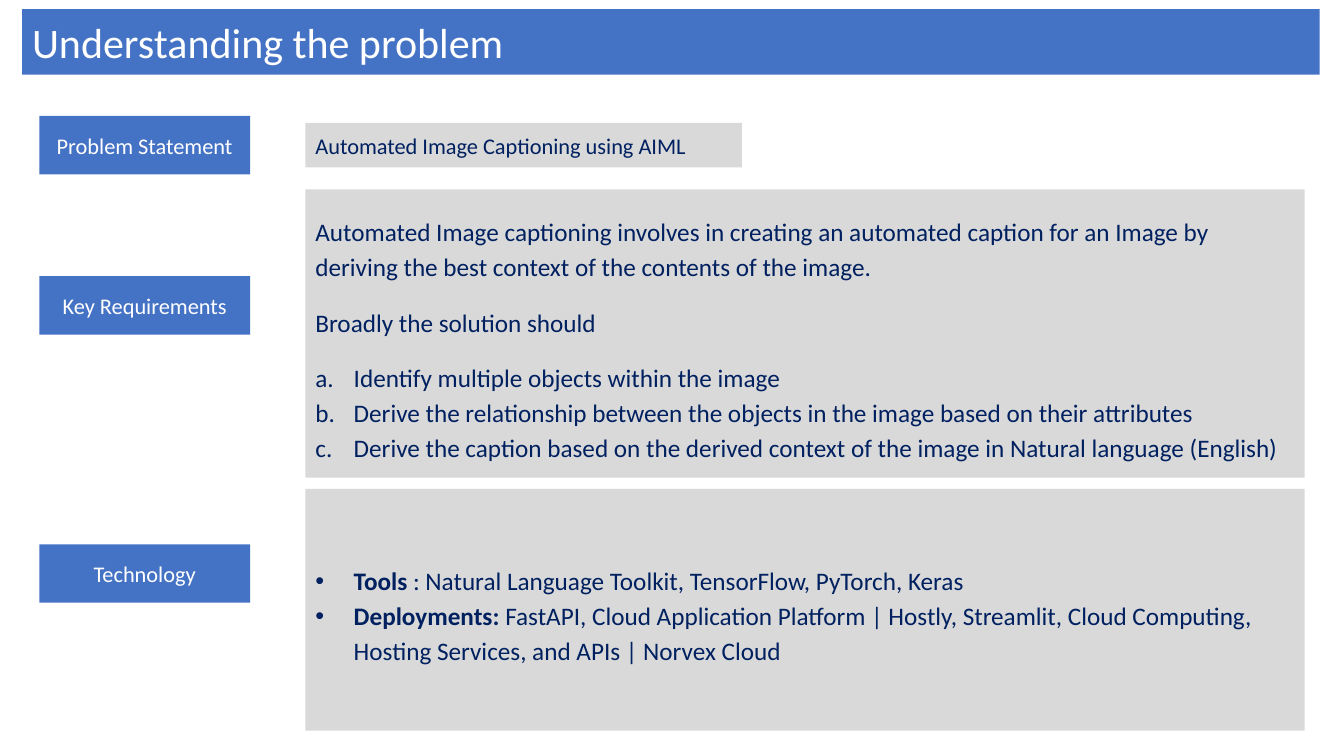
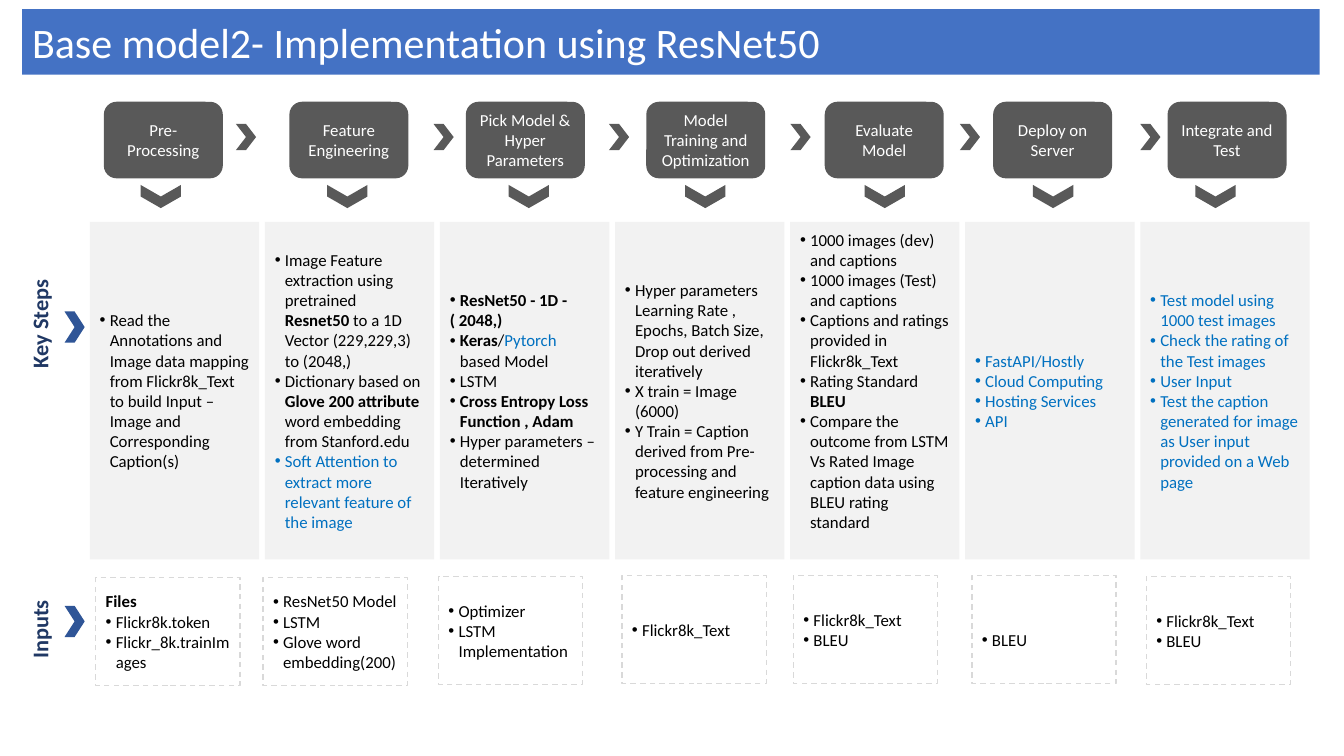
from dataclasses import dataclass
from lxml.etree import SubElement
from pptx import Presentation
from pptx.dml.color import RGBColor
from pptx.enum.dml import MSO_LINE
from pptx.enum.shapes import MSO_SHAPE
from pptx.enum.text import MSO_ANCHOR, PP_ALIGN
from pptx.oxml.ns import qn
from pptx.util import Inches, Pt


@dataclass(frozen=True)
class Theme:
    font: str = "Calibri"
    blue: str = "4472C4"
    deep_blue: str = "2F5597"
    row_label: str = "203864"
    navy: str = "002060"
    accent: str = "0070C0"
    white: str = "FFFFFF"
    black: str = "000000"
    charcoal: str = "595959"
    panel: str = "D9D9D9"
    column: str = "F2F2F2"
    title_size: int = 30
    body_size: int = 18
    label_size: int = 16
    small_size: int = 12


THEME = Theme()
DOT, LETTER = "dot", "letter"
BOLD, ACCENT = {"bold": True}, {"color": THEME.accent}


def item(*runs, bullet=DOT, before=0):
    return {"runs": [run if isinstance(run, tuple) else (run, {}) for run in runs],
            "bullet": bullet, "before": before}


def plain(*runs, before=0):
    return item(*runs, bullet=None, before=before)


def accent_items(*texts):
    return [item((text, ACCENT)) for text in texts]


PROBLEM_TITLE = "Understanding the problem"
PROBLEM_LABELS = [("Problem Statement", 1.15), ("Key Requirements", 2.74), ("Technology", 5.4)]
STATEMENT = [plain("Automated Image Captioning using AIML")]
REQUIREMENTS = [
    plain("Automated Image captioning involves in creating an automated caption for an Image by "
          "deriving the best context of the contents of the image."),
    plain("Broadly the solution should", before=15),
    item("Identify multiple objects within the image", bullet=LETTER, before=15),
    item("Derive the relationship between the objects in the image based on their attributes",
         bullet=LETTER),
    item("Derive the caption based on the derived context of the image in Natural language (English)",
         bullet=LETTER),
]
TECHNOLOGY = [
    item(("Tools", BOLD), " : Natural Language Toolkit, TensorFlow, PyTorch, Keras"),
    item(("Deployments: ", BOLD),
         "FastAPI, Cloud Application Platform | Hostly, Streamlit, Cloud Computing, "
         "Hosting Services, and APIs | Norvex Cloud"),
]

MODEL_TITLE = "Base model2- Implementation using ResNet50"
ROWS = [("Key Steps", 2.52, 3.09), ("Inputs", 5.55, 6.01)]
STAGES = [
    {"name": "Pre- Processing", "left": 1.03, "down": 1.48, "next": 2.34, "input_at": (0.95, 5.73),
     "steps": [item("Read the Annotations and Image data mapping from Flickr8k_Text to build "
                    "Input – Image and Corresponding Caption(s)")],
     "inputs": [plain(("Files", BOLD)), item("Flickr8k.token"), item("Flickr_8k.trainImages")]},
    {"name": "Feature Engineering", "left": 2.87, "down": 3.33, "next": 4.3, "input_at": (2.61, 5.73),
     "steps": [item("Image Feature extraction using pretrained ", ("Resnet50", BOLD),
                    " to a 1D Vector (229,229,3) to (2048,)"),
               item("Dictionary based on ", ("Glove 200 attribute ", BOLD),
                    "word embedding from Stanford.edu"),
               *accent_items("Soft Attention to extract more relevant feature of the image")],
     "inputs": [item("ResNet50 Model"), item("LSTM"), item("Glove word embedding(200)")]},
    {"name": "Pick Model & Hyper Parameters", "left": 4.62, "down": 5.13, "next": 6.04,
     "input_at": (4.35, 5.72),
     "steps": [item(("ResNet50 - 1D -", BOLD)), plain(("( 2048,)", BOLD)),
               item(("Keras", BOLD), "/", ("Pytorch", ACCENT), " based Model"),
               item("LSTM"),
               item(("Cross Entropy Loss Function , Adam", BOLD)),
               item("Hyper parameters – determined Iteratively")],
     "inputs": [item("Optimizer"), item("LSTM Implementation")]},
    {"name": "Model Training and Optimization", "left": 6.41, "down": 6.88, "next": 7.84,
     "input_at": (6.17, 5.71),
     "steps": [item("Hyper parameters Learning Rate , Epochs, Batch Size, Drop out derived iteratively"),
               item("X train = Image (6000)"),
               item("Y Train = Caption derived from Pre-processing and feature engineering")],
     "inputs": [item("Flickr8k_Text")]},
    {"name": "Evaluate Model", "left": 8.18, "down": 8.66, "next": 9.52, "input_at": (7.87, 5.71),
     "steps": [item("1000 images (dev) and captions"),
               item("1000 images (Test) and captions"),
               item("Captions and ratings provided in Flickr8k_Text"),
               item("Rating Standard ", ("BLEU", BOLD)),
               item("Compare the outcome from LSTM Vs Rated Image caption data using BLEU "
                    "rating standard")],
     "steps_bottom": 0.25,
     "inputs": [item("Flickr8k_Text"), item("BLEU")]},
    {"name": "Deploy on Server", "left": 9.85, "down": 10.33, "next": 11.31, "input_at": (9.64, 5.71),
     "steps": accent_items("FastAPI/Hostly", "Cloud Computing", "Hosting Services", "API"),
     "inputs": [item("BLEU")], "inputs_top": 0.25},
    {"name": "Integrate and Test", "left": 11.58, "down": 11.94, "input_at": (11.37, 5.72),
     "steps": accent_items("Test model using 1000 test images", "Check the rating of the Test images",
                           "User Input",
                           "Test the caption generated for image as User input provided on a Web page"),
     "inputs": [item("Flickr8k_Text"), item("BLEU")]},
]
COLUMN_LEFT, COLUMN_WIDTH, COLUMN_PITCH = 0.89, 1.68, 10.42 / 6


def set_bullet(paragraph, kind, indent):
    properties = paragraph._p.get_or_add_pPr()
    properties.set("marL", str(Inches(indent)))
    properties.set("indent", str(-Inches(indent)))
    if kind == LETTER:
        SubElement(properties, qn("a:buFont")).set("typeface", "+mj-lt")
        SubElement(properties, qn("a:buAutoNum")).set("type", "alphaLcPeriod")
    else:
        SubElement(properties, qn("a:buFont")).set("typeface", "Arial")
        SubElement(properties, qn("a:buChar")).set("char", "•")


def write(shape, paragraphs, size, color, align=PP_ALIGN.LEFT, indent=0.1, spacing=None,
          top=0.05, bottom=0.05):
    frame = shape.text_frame
    frame.word_wrap = True
    frame.vertical_anchor = MSO_ANCHOR.MIDDLE
    frame.margin_top, frame.margin_bottom = Inches(top), Inches(bottom)
    for index, content in enumerate(paragraphs):
        paragraph = frame.add_paragraph() if index else frame.paragraphs[0]
        paragraph.alignment = align
        if spacing:
            paragraph.line_spacing = spacing
        if content["before"]:
            paragraph.space_before = Pt(content["before"])
        if content["bullet"]:
            set_bullet(paragraph, content["bullet"], indent)
        for text, style in content["runs"]:
            run = paragraph.add_run()
            run.text = text
            run.font.name = THEME.font
            run.font.size = Pt(size)
            run.font.bold = style.get("bold", False)
            run.font.color.rgb = RGBColor.from_string(style.get("color", color))


def add_block(slide, kind, at, fill=None):
    shape = slide.shapes.add_shape(kind, *map(Inches, at))
    shape.shadow.inherit = False
    shape.line.fill.background()
    if fill:
        shape.fill.solid()
        shape.fill.fore_color.rgb = RGBColor.from_string(fill)
    else:
        shape.fill.background()
    return shape


def add_titled_slide(presentation, title):
    slide = presentation.slides.add_slide(presentation.slide_layouts[6])
    band = add_block(slide, MSO_SHAPE.RECTANGLE, (0.22, 0.09, 12.87, 0.65), THEME.blue)
    write(band, [plain(title)], THEME.title_size, THEME.white)
    return slide


def build_problem_slide(presentation):
    slide = add_titled_slide(presentation, PROBLEM_TITLE)
    for text, top in PROBLEM_LABELS:
        label = add_block(slide, MSO_SHAPE.RECTANGLE, (0.39, top, 2.09, 0.58), THEME.blue)
        write(label, [plain(text)], THEME.label_size, THEME.white, PP_ALIGN.CENTER)
    statement = add_block(slide, MSO_SHAPE.RECTANGLE, (3.03, 1.22, 4.33, 0.44), THEME.panel)
    write(statement, STATEMENT, THEME.label_size, THEME.navy)
    for paragraphs, top, height in ((REQUIREMENTS, 1.88, 2.86), (TECHNOLOGY, 4.85, 2.4)):
        panel = add_block(slide, MSO_SHAPE.RECTANGLE, (3.03, top, 9.91, height), THEME.panel)
        write(panel, paragraphs, THEME.body_size, THEME.navy, indent=0.38, spacing=1.15, top=0.12)


def add_row_label(slide, text, text_top, chevron_top):
    label = slide.shapes.add_textbox(*map(Inches, (0.29, text_top, 0.2, 1.39)))
    write(label, [plain((text, BOLD))], THEME.label_size, THEME.row_label, PP_ALIGN.CENTER,
          top=0, bottom=0)
    label.text_frame.margin_left = label.text_frame.margin_right = 0
    label.text_frame._txBody.bodyPr.set("vert", "vert270")
    add_block(slide, MSO_SHAPE.CHEVRON, (0.64, chevron_top, 0.2, 0.31), THEME.deep_blue)


def add_stage(slide, index, stage):
    header = add_block(slide, MSO_SHAPE.ROUNDED_RECTANGLE, (stage["left"], 1.01, 1.18, 0.76),
                       THEME.charcoal)
    write(header, [plain(stage["name"])], THEME.small_size, THEME.white, PP_ALIGN.CENTER)
    if "next" in stage:
        add_block(slide, MSO_SHAPE.CHEVRON, (stage["next"], 1.23, 0.2, 0.26), THEME.charcoal)
    down = add_block(slide, MSO_SHAPE.CHEVRON, (stage["down"], 1.75, 0.23, 0.4), THEME.charcoal)
    down.rotation = 90

    column_left = COLUMN_LEFT + index * COLUMN_PITCH
    column = add_block(slide, MSO_SHAPE.RECTANGLE, (column_left, 2.2, COLUMN_WIDTH, 3.35),
                       THEME.column)
    write(column, stage["steps"], THEME.small_size, THEME.black,
          bottom=stage.get("steps_bottom", 0.05))

    inputs = add_block(slide, MSO_SHAPE.RECTANGLE, (*stage["input_at"], 1.43, 1.07))
    inputs.line.color.rgb = RGBColor.from_string(THEME.panel)
    inputs.line.width = Pt(1)
    inputs.line.dash_style = MSO_LINE.DASH
    write(inputs, stage["inputs"], THEME.small_size, THEME.black,
          top=stage.get("inputs_top", 0.05))


def build_model_slide(presentation):
    slide = add_titled_slide(presentation, MODEL_TITLE)
    for row in ROWS:
        add_row_label(slide, *row)
    for index, stage in enumerate(STAGES):
        add_stage(slide, index, stage)


def main():
    presentation = Presentation()
    presentation.slide_width, presentation.slide_height = Inches(13.33), Inches(7.5)
    build_problem_slide(presentation)
    build_model_slide(presentation)
    presentation.save("out.pptx")


if __name__ == "__main__":
    main()
